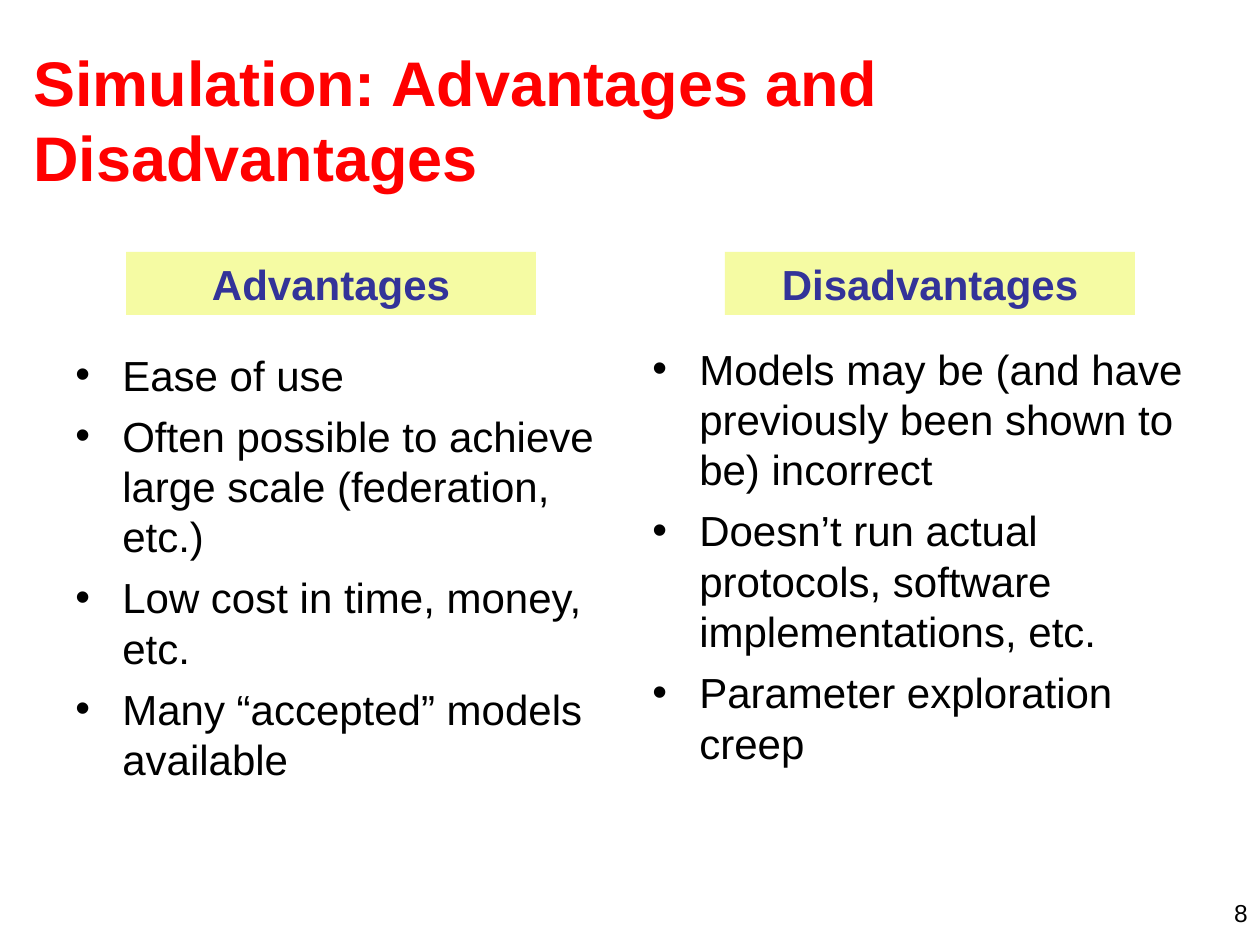
from dataclasses import dataclass

from lxml import etree
from pptx import Presentation
from pptx import util as u
from pptx.dml.color import RGBColor
from pptx.enum import shapes, text
from pptx.oxml.ns import qn

PX = u.Inches(1) // 126
INDENT = 47
BLACK, RED, BLUE, YELLOW = "000000", "FF0000", "333399", "F5FBA3"


@dataclass(frozen=True)
class Frame:
    left: int
    top: int
    width: int
    height: int

    def emu(self) -> list[int]:
        return [side * PX for side in (self.left, self.top, self.width, self.height)]


@dataclass(frozen=True)
class Style:
    size: int
    color: str = BLACK
    bold: bool = False
    align: text.PP_ALIGN = text.PP_ALIGN.LEFT
    anchor: text.MSO_ANCHOR = text.MSO_ANCHOR.TOP
    bullet: bool = False


@dataclass(frozen=True)
class Column:
    heading: str
    heading_frame: Frame
    items: tuple[str, ...]
    list_frame: Frame


TITLE = Style(36, RED, True, anchor=text.MSO_ANCHOR.MIDDLE)
HEADING = Style(24, BLUE, True, text.PP_ALIGN.CENTER)
LIST = Style(24, bullet=True)
NUMBER = Style(14, align=text.PP_ALIGN.RIGHT)

COLUMNS = (
    Column(
        "Advantages",
        Frame(126, 252, 410, 63),
        (
            "Ease of use",
            "Often possible to achieve large scale (federation, etc.)",
            "Low cost in time, money, etc.",
            "Many “accepted” models available",
        ),
        Frame(63, 343, 557, 529),
    ),
    Column(
        "Disadvantages",
        Frame(725, 252, 410, 63),
        (
            "Models may be (and have previously been shown to be) incorrect",
            "Doesn’t run actual protocols, software implementations, etc.",
            "Parameter exploration creep",
        ),
        Frame(640, 337, 557, 509),
    ),
)


def rgb(value: str) -> RGBColor:
    return RGBColor.from_string(value)


def apply(target, values: dict) -> None:
    for name, value in values.items():
        setattr(target, name, value)


def add_bullet(para) -> None:
    props = para._p.get_or_add_pPr()
    props.set("marL", str(INDENT * PX))
    props.set("indent", str(-INDENT * PX))
    color = etree.SubElement(props, qn("a:buClr"))
    etree.SubElement(color, qn("a:srgbClr"), val=BLACK)
    etree.SubElement(props, qn("a:buFont"), typeface="Arial")
    etree.SubElement(props, qn("a:buChar"), char="•")


def write(box, lines: tuple[str, ...], style: Style) -> None:
    frame = box.text_frame
    apply(frame, {"word_wrap": True, "vertical_anchor": style.anchor})
    for index, line in enumerate(lines):
        para = frame.add_paragraph() if index else frame.paragraphs[0]
        if style.bullet:
            add_bullet(para)
        apply(para, {
            "alignment": style.align,
            "line_spacing": u.Pt(style.size * 1.2),
            "space_before": u.Pt(6 if index else 0),
        })
        span = para.add_run()
        span.text = line
        apply(span.font, {"name": "Arial", "size": u.Pt(style.size), "bold": style.bold})
        span.font.color.rgb = rgb(style.color)


def add_text(page, frame: Frame, lines: tuple[str, ...], style: Style) -> None:
    write(page.shapes.add_textbox(*frame.emu()), lines, style)


def add_column(page, column: Column) -> None:
    add_text(page, column.list_frame, column.items, LIST)
    box = page.shapes.add_shape(shapes.MSO_SHAPE.RECTANGLE, *column.heading_frame.emu())
    box.shadow.inherit = False
    box.fill.solid()
    box.fill.fore_color.rgb = rgb(YELLOW)
    box.line.fill.background()
    write(box, (column.heading,), HEADING)


def main() -> None:
    deck = Presentation()
    apply(deck, {"slide_width": 1260 * PX, "slide_height": 945 * PX})
    page = deck.slides.add_slide(deck.slide_layouts[6])
    add_text(page, Frame(21, 37, 1207, 164), ("Simulation: Advantages and Disadvantages",), TITLE)
    for column in COLUMNS:
        add_column(page, column)
    add_text(page, Frame(966, 892, 294, 43), ("8",), NUMBER)
    deck.save("out.pptx")


if __name__ == "__main__":
    main()
